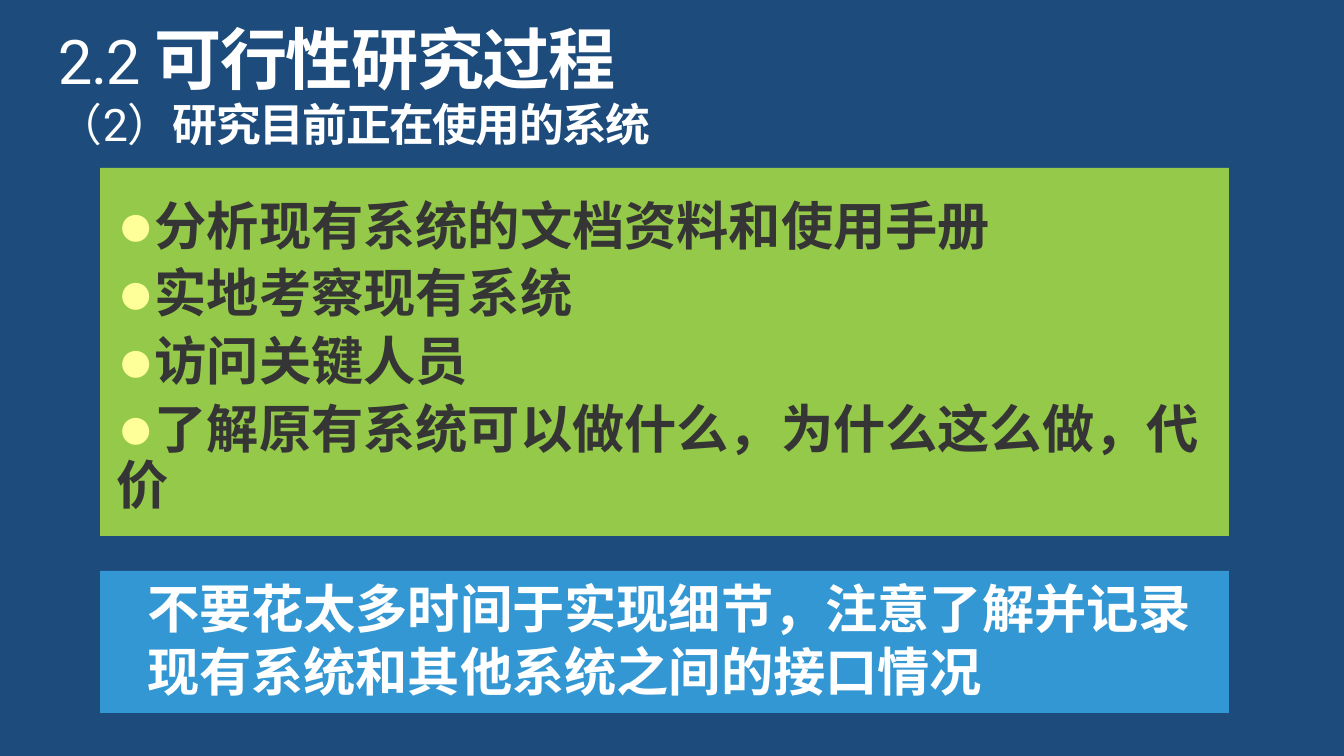
from typing import NamedTuple, Optional

from lxml.etree import SubElement
from pptx import Presentation
from pptx.dml.color import RGBColor
from pptx.enum.shapes import MSO_SHAPE as Shape
from pptx.enum.text import MSO_ANCHOR as Anchor, MSO_AUTO_SIZE as AutoSize, PP_ALIGN as Align
from pptx.oxml.ns import qn
from pptx.util import Pt

NAVY = RGBColor(0x1D, 0x4C, 0x7C)
BLUE = RGBColor(0x33, 0x97, 0xD3)
GREEN = RGBColor(0x94, 0xC9, 0x49)
WHITE = RGBColor(0xFF, 0xFF, 0xFF)
CHARCOAL = RGBColor(0x36, 0x35, 0x35)
YELLOW = RGBColor(0xFF, 0xFF, 0x99)

LATIN_FONT = "Roboto"
CHINESE_FONT = "Noto Sans CJK SC"
PIXELS_PER_INCH = 134.4

FINDINGS = [
    "分析现有系统的文档资料和使用手册",
    "实地考察现有系统",
    "访问关键人员",
    "了解原有系统可以做什么，为什么这么做，代价",
]
ADVICE = "不要花太多时间于实现细节，注意了解并记录现有系统和其他系统之间的接口情况"


class Box(NamedTuple):
    left: int
    top: int
    width: int
    height: int
    insets: tuple[int, int, int, int] = (0, 0, 0, 0)
    anchor: Anchor = Anchor.TOP
    fill: Optional[RGBColor] = None


TITLE = Box(58, 26, 1230, 74)
SUBTITLE = Box(58, 103, 1230, 48)
FINDINGS_PANEL = Box(100, 168, 1129, 368, (17, 71, 17, 20), Anchor.BOTTOM, GREEN)
ADVICE_PANEL = Box(100, 571, 1129, 142, (13, 7, 7, 13), Anchor.MIDDLE, BLUE)


def px(length: int) -> int:
    return round(length * 914400 / PIXELS_PER_INCH)


def place(shape, box: Box) -> None:
    """Move a shape to its box and set its frame and fill."""
    shape.left, shape.top = px(box.left), px(box.top)
    shape.width, shape.height = px(box.width), px(box.height)
    frame = shape.text_frame
    frame.word_wrap = True
    frame.auto_size = AutoSize.NONE
    frame.vertical_anchor = box.anchor
    (frame.margin_left, frame.margin_top,
     frame.margin_right, frame.margin_bottom) = map(px, box.insets)
    if box.fill is not None:
        shape.fill.solid()
        shape.fill.fore_color.rgb = box.fill


def format_paragraph(paragraph, *, line_spacing: float = 1.0,
                     space_before: int = 0, indent: int = 0) -> None:
    paragraph.alignment = Align.LEFT
    paragraph.line_spacing = line_spacing
    paragraph.space_before = Pt(space_before)
    properties = paragraph._p.get_or_add_pPr()
    properties.set("marL", str(px(indent)))
    properties.set("indent", "0")


def add_bullet(paragraph, color: RGBColor) -> None:
    properties = paragraph._p.get_or_add_pPr()
    bullet_color = SubElement(properties, qn("a:buClr"))
    SubElement(bullet_color, qn("a:srgbClr"), val=str(color))
    SubElement(properties, qn("a:buSzPct"), val="120000")
    SubElement(properties, qn("a:buChar"), char="●")


def add_text(paragraph, text: str, *, size: int, color: RGBColor = WHITE,
             font_name: str = CHINESE_FONT, bold: bool = True, spacing: float = 0) -> None:
    run = paragraph.add_run()
    run.text = text
    font = run.font
    font.size, font.bold, font.name = Pt(size), bold, font_name
    font.color.rgb = color
    properties = run._r.get_or_add_rPr()
    SubElement(properties, qn("a:ea"), typeface=font_name)
    if spacing:
        properties.set("spc", str(round(spacing * 100)))


def add_heading(shape, box: Box, number: str, number_size: int, text: str, size: int) -> None:
    """Write a light number followed by bold heading text."""
    place(shape, box)
    paragraph = shape.text_frame.paragraphs[0]
    format_paragraph(paragraph, line_spacing=0.9)
    add_text(paragraph, number, size=number_size, font_name=LATIN_FONT,
             bold=False, spacing=-0.8)
    add_text(paragraph, text, size=size, spacing=-0.8)


def main() -> None:
    presentation = Presentation()
    presentation.slide_width, presentation.slide_height = px(1344), px(756)
    slide = presentation.slides.add_slide(presentation.slide_layouts[1])
    slide.background.fill.solid()
    slide.background.fill.fore_color.rgb = NAVY

    # Headings
    add_heading(slide.shapes.title, TITLE, "2.2 ", 33, "可行性研究过程", 36)
    subtitle = slide.shapes.add_textbox(0, 0, 0, 0)
    add_heading(subtitle, SUBTITLE, "（2）", 24, "研究目前正在使用的系统", 24)

    # Bulleted list on the green panel
    body = slide.placeholders[1]
    place(body, FINDINGS_PANEL)
    for index, finding in enumerate(FINDINGS):
        frame = body.text_frame
        paragraph = frame.add_paragraph() if index else frame.paragraphs[0]
        format_paragraph(paragraph, line_spacing=0.9, space_before=6 if index else 0)
        add_bullet(paragraph, YELLOW)
        add_text(paragraph, finding, size=28, color=CHARCOAL)

    # Advice on the blue panel
    advice = slide.shapes.add_shape(Shape.RECTANGLE, 0, 0, 0, 0)
    place(advice, ADVICE_PANEL)
    advice.shadow.inherit = False
    advice.line.fill.background()
    paragraph = advice.text_frame.paragraphs[0]
    format_paragraph(paragraph, indent=34)
    add_text(paragraph, ADVICE, size=28)

    presentation.save("out.pptx")


if __name__ == "__main__":
    main()
